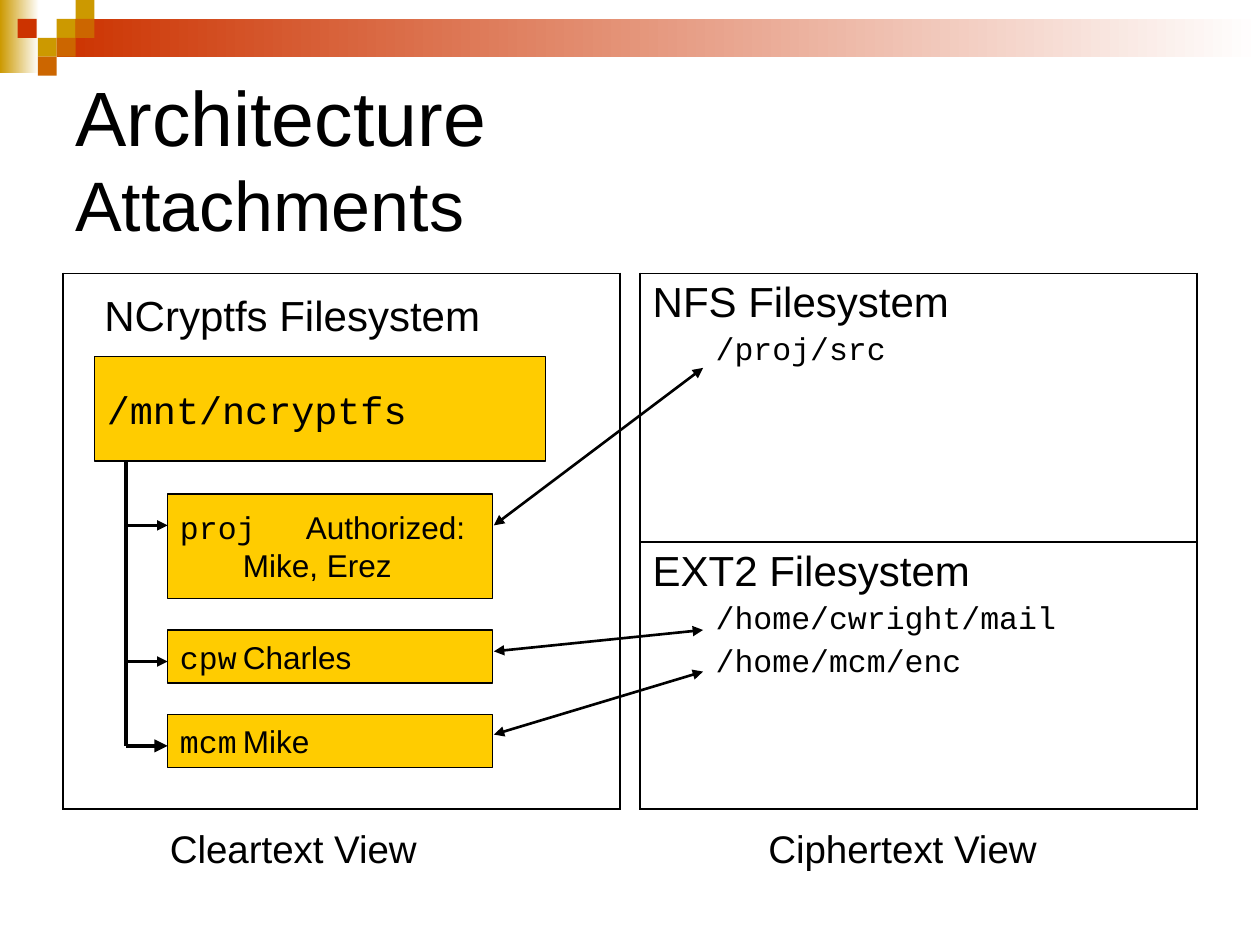
from dataclasses import dataclass
from typing import NamedTuple

import pptx
import pptx.dml.color
import pptx.enum.shapes
import pptx.enum.text
import pptx.oxml
import pptx.oxml.ns
import pptx.util
from pptx.util import Inches

RECTANGLE = pptx.enum.shapes.MSO_SHAPE.RECTANGLE
MIDDLE = pptx.enum.text.MSO_ANCHOR.MIDDLE


@dataclass(frozen=True)
class Theme:
    black: str = "000000"
    white: str = "FFFFFF"
    gold: str = "CC9900"
    red: str = "CC3300"
    orange: str = "CC6600"
    box: str = "FFCC00"
    sans: str = "Arial"
    mono: str = "Courier New"
    title: float = 44
    subtitle: float = 40
    heading: float = 24
    label: float = 22
    body: float = 18
    border: float = 1.08


THEME = Theme()


class Area(NamedTuple):
    left: float
    top: float
    width: float
    height: float

    def lengths(self) -> list:
        return [Inches(value) for value in self]


class Piece(NamedTuple):
    text: str
    size: float
    font: str = THEME.sans


class Line(NamedTuple):
    pieces: list
    indent: float = 0
    space_before: float = 0


class Box(NamedTuple):
    area: Area
    lines: list


class Link(NamedTuple):
    start: tuple
    end: tuple
    width: float
    ends: tuple = ()


def colour(value: str):
    return pptx.dml.color.RGBColor.from_string(value)


def entry(name: str, *people: str) -> list:
    """Lines of an attachment: its name, then its users at the tab stop."""
    first = Line([Piece(name + "\t", THEME.body, THEME.mono), Piece(people[0], THEME.body)])
    return [first] + [Line([Piece("\t" + person, THEME.body)]) for person in people[1:]]


def filesystem(name: str, *folders: str) -> list:
    heading = Line([Piece(name, THEME.heading)], space_before=6)
    return [heading] + [
        Line([Piece(folder, THEME.body, THEME.mono)], 0.5, 4.5) for folder in folders
    ]


def add_run(paragraph, piece: Piece) -> None:
    run = paragraph.add_run()
    run.text = piece.text
    run.font.size = pptx.util.Pt(piece.size)
    run.font.name = piece.font
    run.font.color.rgb = colour(THEME.black)


def write_lines(frame, lines: list) -> None:
    for index, line in enumerate(lines):
        paragraph = frame.add_paragraph() if index else frame.paragraphs[0]
        paragraph.alignment = pptx.enum.text.PP_ALIGN.LEFT
        paragraph.space_before = pptx.util.Pt(line.space_before)
        if line.indent:
            properties = paragraph._p.get_or_add_pPr()
            properties.set("marL", str(Inches(line.indent)))
            properties.set("indent", "0")
        for piece in line.pieces:
            add_run(paragraph, piece)


def add_rectangle(slide, area: Area, fill: str, fade: bool = False):
    """Add a borderless rectangle, fading to white on the right if asked."""
    shape = slide.shapes.add_shape(RECTANGLE, *area.lengths())
    shape.shadow.inherit = False
    shape.line.fill.background()
    if fade:
        shape.fill.gradient()
        shape.fill.gradient_angle = 0
        for stop, value in zip(shape.fill.gradient_stops, (fill, THEME.white)):
            stop.color.rgb = colour(value)
    else:
        shape.fill.solid()
        shape.fill.fore_color.rgb = colour(fill)
    return shape


def add_box(slide, box: Box) -> None:
    shape = add_rectangle(slide, box.area, THEME.box)
    shape.line.color.rgb = colour(THEME.black)
    shape.line.width = pptx.util.Pt(0.75)
    shape.text_frame.word_wrap = True
    shape.text_frame.vertical_anchor = MIDDLE
    write_lines(shape.text_frame, box.lines)


def add_label(slide, area: Area, piece: Piece) -> None:
    frame = slide.shapes.add_textbox(*area.lengths()).text_frame
    frame.word_wrap = False
    write_lines(frame, [Line([piece])])


def add_title(slide) -> None:
    frame = slide.shapes.add_textbox(*Area(0.5, 0.5, 9, 1.5).lengths()).text_frame
    frame.word_wrap = True
    frame.vertical_anchor = MIDDLE
    paragraph = frame.paragraphs[0]
    add_run(paragraph, Piece("Architecture", THEME.title))
    paragraph.add_line_break()
    add_run(paragraph, Piece("Attachments", THEME.subtitle))


def add_border(cell) -> None:
    namespace = pptx.oxml.ns.nsdecls("a")
    width = pptx.util.Pt(THEME.border)
    for index, side in enumerate(("lnL", "lnR", "lnT", "lnB")):
        border = pptx.oxml.parse_xml(
            f'<a:{side} {namespace} w="{width}"><a:solidFill>'
            f'<a:srgbClr val="{THEME.black}"/></a:solidFill></a:{side}>'
        )
        cell._tc.get_or_add_tcPr().insert(index, border)


def add_view(slide, area: Area, heights: list, contents: list) -> None:
    """Add a one-column table with a black frame round each cell."""
    table = slide.shapes.add_table(len(heights), 1, *area.lengths()).table
    table.first_row = table.horz_banding = False
    for row, height, lines in zip(table.rows, heights, contents):
        row.height = Inches(height)
        cell = row.cells[0]
        cell.fill.background()
        add_border(cell)
        write_lines(cell.text_frame, lines)


def add_link(slide, link: Link) -> None:
    points = [Inches(value) for value in link.start + link.end]
    connector = slide.shapes.add_connector(pptx.enum.shapes.MSO_CONNECTOR.STRAIGHT, *points)
    connector.line.color.rgb = colour(THEME.black)
    connector.line.width = pptx.util.Pt(link.width)
    namespace = pptx.oxml.ns.nsdecls("a")
    for end in link.ends:
        arrowhead = pptx.oxml.parse_xml(f'<a:{end} {namespace} type="triangle"/>')
        connector.line._get_or_add_ln().append(arrowhead)
    connector._element.spPr.append(pptx.oxml.parse_xml(f"<a:effectLst {namespace}/>"))


def add_decoration(slide) -> None:
    add_rectangle(slide, Area(0, 0, 0.31, 0.58), THEME.gold, fade=True)
    add_rectangle(slide, Area(0.45, 0.15, 9.55, 0.3), THEME.red, fade=True)
    squares = {
        THEME.gold: [(0.45, 0.15), (0.6, 0), (0.3, 0.3)],
        THEME.orange: [(0.6, 0.15), (0.45, 0.3), (0.3, 0.45)],
        THEME.red: [(0.14, 0.15)],
    }
    for fill, corners in squares.items():
        for left, top in corners:
            add_rectangle(slide, Area(left, top, 0.15, 0.15), fill)


BOXES = [
    Box(Area(0.75, 2.83, 3.58, 0.83), [Line([Piece("/mnt/ncryptfs", THEME.label, THEME.mono)])]),
    Box(Area(1.33, 3.92, 2.58, 0.83), entry("proj", "Authorized:", "Mike, Erez")),
    Box(Area(1.33, 5, 2.58, 0.42), entry("cpw", "Charles")),
    Box(Area(1.33, 5.67, 2.58, 0.42), entry("mcm", "Mike")),
]
BRANCHES = [(5.92, 2.5), (5.25, 2), (4.17, 2)]
MAPPINGS = [(4.17, 2.92), (5.17, 5), (5.83, 5.33)]
LINKS = (
    [Link((1, 3.67), (1, 5.92), 2)]
    + [Link((1, y), (1.33, y), width, ("tailEnd",)) for y, width in BRANCHES]
    + [Link((3.92, y), (5.58, target), 1.5, ("headEnd", "tailEnd")) for y, target in MAPPINGS]
)


def main() -> None:
    presentation = pptx.Presentation()
    presentation.slide_width, presentation.slide_height = Inches(10), Inches(7.5)
    slide = presentation.slides.add_slide(presentation.slide_layouts[6])
    add_decoration(slide)
    add_title(slide)
    add_view(slide, Area(0.5, 2.17, 4.42, 4.25), [4.25], [[]])
    ciphertext = [
        filesystem("NFS Filesystem", "/proj/src"),
        filesystem("EXT2 Filesystem", "/home/cwright/mail", "/home/mcm/enc"),
    ]
    add_view(slide, Area(5.08, 2.17, 4.42, 4.25), [2.13, 2.12], ciphertext)
    for box in BOXES:
        add_box(slide, box)
    add_label(slide, Area(0.73, 2.25, 3.18, 0.5), Piece("NCryptfs Filesystem", THEME.heading))
    add_label(slide, Area(1.25, 6.5, 2.16, 0.47), Piece("Cleartext View", THEME.label))
    add_label(slide, Area(6, 6.5, 2.33, 0.47), Piece("Ciphertext View", THEME.label))
    for link in LINKS:
        add_link(slide, link)
    presentation.save("out.pptx")


if __name__ == "__main__":
    main()
